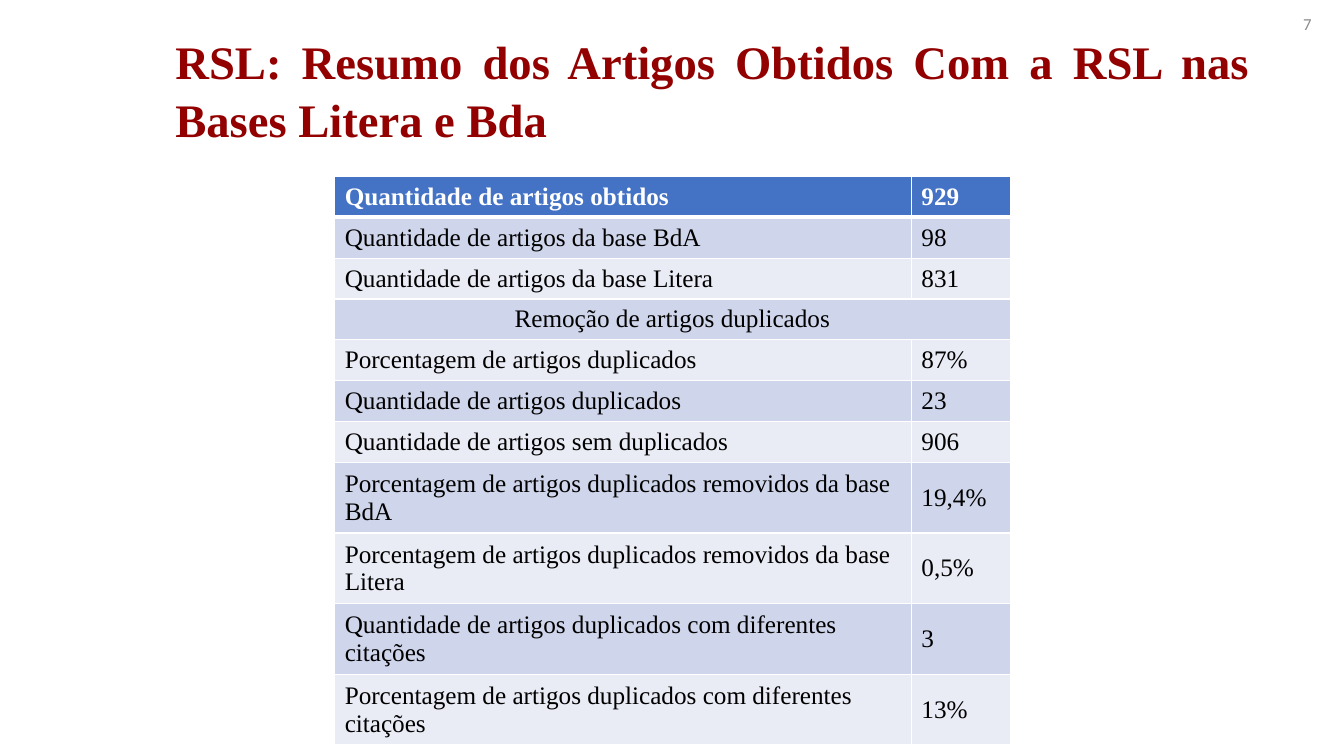
from lxml import etree
from pptx import Presentation
from pptx.dml.color import RGBColor
from pptx.enum.text import MSO_ANCHOR, PP_ALIGN
from pptx.oxml.ns import qn
from pptx.util import Inches, Pt

LEFT, RIGHT = PP_ALIGN.LEFT, PP_ALIGN.RIGHT
CENTER, JUSTIFY = PP_ALIGN.CENTER, PP_ALIGN.JUSTIFY
MIDDLE, BOTTOM = MSO_ANCHOR.MIDDLE, MSO_ANCHOR.BOTTOM
SERIF, SANS = "Times New Roman", "Calibri"
WHITE, BLACK, RED, GRAY = "FFFFFF", "000000", "920000", "8C8C8C"
HEAD, BANDS = "4472C4", ("E9EBF5", "CFD5EA")

ROWS = [
    ("Quantidade de artigos obtidos", "929"),
    ("Quantidade de artigos da base BdA", "98"),
    ("Quantidade de artigos da base Litera", "831"),
    ("Remoção de artigos duplicados",),
    ("Porcentagem de artigos duplicados", "87%"),
    ("Quantidade de artigos duplicados", "23"),
    ("Quantidade de artigos sem duplicados", "906"),
    ("Porcentagem de artigos duplicados removidos da base BdA", "19,4%"),
    ("Porcentagem de artigos duplicados removidos da base Litera", "0,5%"),
    ("Quantidade de artigos duplicados com diferentes citações", "3"),
    ("Porcentagem de artigos duplicados com diferentes citações", "13%"),
]


def color(code):
    """Turn a hex string into a colour."""
    return RGBColor.from_string(code)


def write(frame, text, size=18, font=SERIF, tint=BLACK, bold=False,
          align=LEFT, space=1.0):
    """Put one formatted paragraph in a text frame."""
    para = frame.paragraphs[0]
    para.alignment, para.line_spacing = align, space
    run = para.add_run()
    run.text = text
    run.font.size, run.font.name, run.font.bold = Pt(size), font, bold
    run.font.color.rgb = color(tint)


def border(cell, base):
    """Draw white cell borders with a given bottom width."""
    props = cell._tc.get_or_add_tcPr()
    for index, (side, width) in enumerate(
            (("a:lnL", 1), ("a:lnR", 1), ("a:lnT", 1), ("a:lnB", base))):
        line = etree.Element(qn(side), w=str(Pt(width)))
        fill = etree.SubElement(line, qn("a:solidFill"))
        etree.SubElement(fill, qn("a:srgbClr"), val=WHITE)
        props.insert(index, line)


class Deck:
    """Hold the slide and place elements by percent of its size."""

    def __init__(self):
        """Start a deck with one blank slide."""
        self.show = Presentation()
        self.show.slide_width, self.show.slide_height = Inches(13.33), Inches(7.5)
        self.slide = self.show.slides.add_slide(self.show.slide_layouts[6])

    def wide(self, share):
        """Give a percent of the slide width."""
        return round(self.show.slide_width * share / 100)

    def high(self, share):
        """Give a percent of the slide height."""
        return round(self.show.slide_height * share / 100)

    def text(self, text, x, y, w, h, anchor=MIDDLE, inset=0.0, **style):
        """Add a wrapped text box."""
        box = self.slide.shapes.add_textbox(
            self.wide(x), self.high(y), self.wide(w), self.high(h))
        frame = box.text_frame
        frame.word_wrap, frame.vertical_anchor = True, anchor
        frame.margin_left = frame.margin_right = Inches(inset)
        frame.margin_top = frame.margin_bottom = Inches(inset / 2)
        write(frame, text, **style)

    def table(self, rows, x, y, cols, step):
        """Add a banded table; a short row spans all columns."""
        table = self.slide.shapes.add_table(
            len(rows), len(cols), self.wide(x), self.high(y),
            self.wide(sum(cols)), self.high(step * len(rows))).table
        for col, share in zip(table.columns, cols):
            col.width = self.wide(share)
        for r, row in enumerate(rows):
            table.rows[r].height = self.high(step)
            top, span = r == 0, len(row) < len(cols)
            if span:
                table.cell(r, 0).merge(table.cell(r, len(cols) - 1))
            for c, text in enumerate(row):
                cell = table.cell(r, c)
                cell.vertical_anchor = MIDDLE
                cell.fill.solid()
                cell.fill.fore_color.rgb = color(HEAD if top else BANDS[r % 2])
                border(cell, 3 if top else 1)
                write(cell.text_frame, text, bold=top,
                      tint=WHITE if top else BLACK,
                      align=CENTER if span else LEFT)


def main():
    """Build and save the slide."""
    deck = Deck()
    deck.text("RSL: Resumo dos Artigos Obtidos Com a RSL nas Bases Litera e Bda",
              13.05, 4.4, 79.97, 15.07, anchor=BOTTOM, size=33.3, tint=RED,
              bold=True, align=JUSTIFY, space=1.04)
    deck.text("7", 75.84, 0.53, 22.5, 5.33, inset=0.1, size=12, font=SANS,
              tint=GRAY, align=RIGHT)
    deck.table(ROWS, 24.9, 23.33, (42.91, 7.35), 5.41)
    deck.show.save("out.pptx")


if __name__ == "__main__":
    main()
